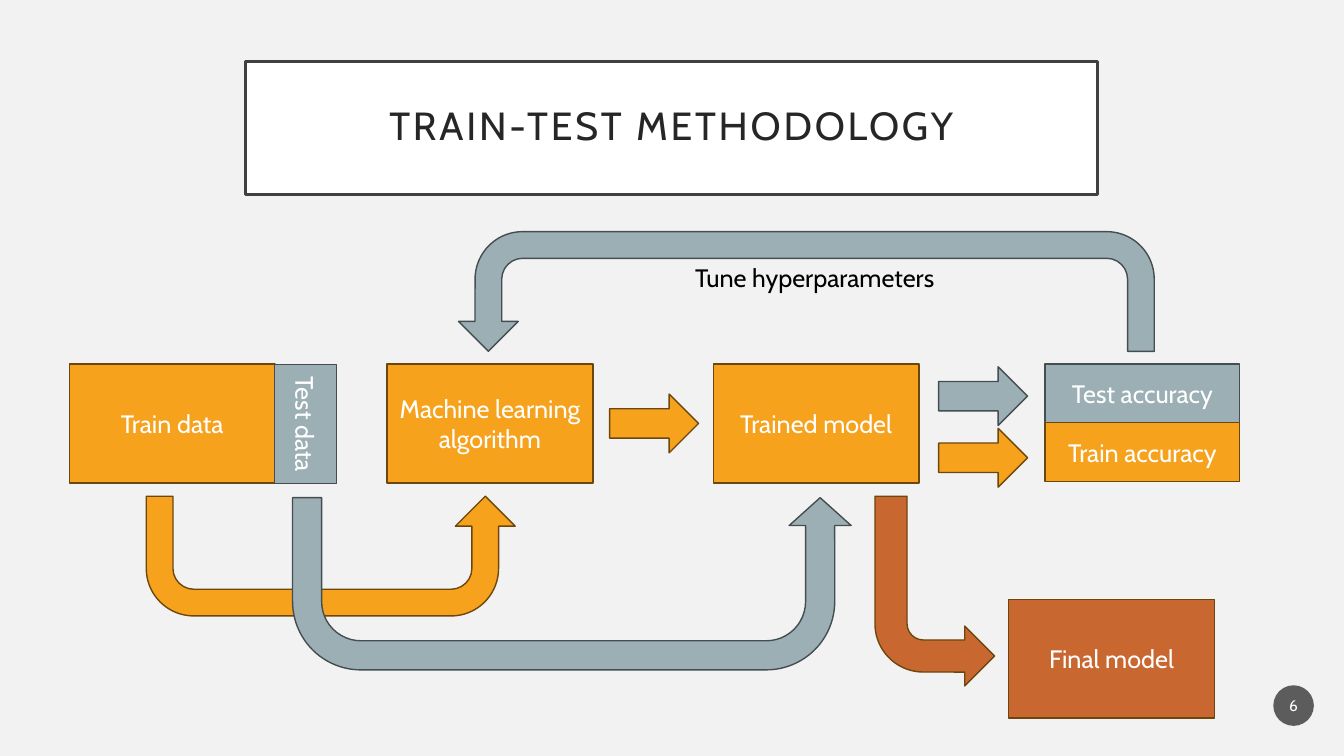
"""Build the train-test methodology slide."""
from dataclasses import dataclass

import pptx
import pptx.dml.color
import pptx.enum.shapes
import pptx.enum.text
import pptx.oxml
import pptx.oxml.ns
import pptx.util

Pt = pptx.util.Pt
MSO = pptx.enum.shapes.MSO_SHAPE
FONT = "Cabin"
ORANGE, GREY, RUST = "F6A21D", "9BAFB5", "C96731"
OUTLINES = {ORANGE: "6C470D", GREY: "444D4F", RUST: "6C470D"}
ROW_TOP, BOX_W, BOX_H = 260, 147, 85
HALF_W, HALF_H = 139, 42
ARROW_W, ARROW_H = 63.5, 42
UTURN = (0.223, 0.25, 0.25, 0.397, 1)


@dataclass
class Box:
    text: str
    x: float
    y: float
    w: float
    h: float
    color: str
    rotation: float = 0


@dataclass
class Arrow:
    kind: MSO
    x: float
    y: float
    w: float
    h: float
    color: str
    adjustments: tuple[float, ...] = ()
    flip: str = ""


BOXES = [
    Box("Train data", 49.5, ROW_TOP, BOX_W, BOX_H, ORANGE),
    Box("Test data", 175.75, 281, BOX_H, 44, GREY, 90),
    Box("Machine learning algorithm", 276.5, ROW_TOP, BOX_W, BOX_H, ORANGE),
    Box("Trained model", 509.5, ROW_TOP, BOX_W, BOX_H, ORANGE),
    Box("Test accuracy", 746.5, ROW_TOP, HALF_W, HALF_H, GREY),
    Box("Train accuracy", 746.5, ROW_TOP + HALF_H, HALF_W, HALF_H, ORANGE),
    Box("Final model", 720.5, 428, BOX_W, BOX_H, RUST),
]
ARROWS = [
    Arrow(MSO.U_TURN_ARROW, 104.5, 354.5, 263.5, 85.5, ORANGE, UTURN, "flipV"),
    Arrow(MSO.RIGHT_ARROW, 435.5, 281.5, ARROW_W, ARROW_H, ORANGE),
    Arrow(MSO.U_TURN_ARROW, 327.5, 165.5, 497, 85.5, GREY, UTURN, "flipH"),
    Arrow(MSO.RIGHT_ARROW, 670.5, 262, ARROW_W, ARROW_H, GREY),
    Arrow(MSO.U_TURN_ARROW, 209, 355.5, 399, 123, GREY,
          (0.169, 0.18, 0.162, 0.397, 1), "flipV"),
    Arrow(MSO.RIGHT_ARROW, 670.5, 306, ARROW_W, ARROW_H, ORANGE),
    Arrow(MSO.BENT_ARROW, 625, 354.5, 85.5, 135.5, RUST,
          (0.268, 0.25, 0.25, 0.404), "flipV"),
]


def rgb(color: str) -> pptx.dml.color.RGBColor:
    return pptx.dml.color.RGBColor.from_string(color)


def add_shape(s, kind: MSO, x: float, y: float, w: float, h: float,
              fill: str, line: str = "", width: float = 1):
    sp = s.shapes.add_shape(kind, Pt(x), Pt(y), Pt(w), Pt(h))
    sp.shadow.inherit = False
    sp.fill.solid()
    sp.fill.fore_color.rgb = rgb(fill)
    if line:
        sp.line.color.rgb = rgb(line)
        sp.line.width = Pt(width)
    else:
        sp.line.fill.background()
    return sp


def set_text(sp, text: str, size: float = 18, color: str = "FFFFFF"):
    tf = sp.text_frame
    tf.word_wrap = True
    tf.vertical_anchor = pptx.enum.text.MSO_ANCHOR.MIDDLE
    p = tf.paragraphs[0]
    p.alignment = pptx.enum.text.PP_ALIGN.CENTER
    p.font.name = FONT
    p.font.size = Pt(size)
    p.font.color.rgb = rgb(color)
    p.add_run().text = text
    return p


def add_box(s, box: Box) -> None:
    sp = add_shape(s, MSO.RECTANGLE, box.x, box.y, box.w, box.h,
                   box.color, OUTLINES[box.color])
    sp.rotation = box.rotation
    set_text(sp, box.text)


def add_arrow(s, arrow: Arrow) -> None:
    sp = add_shape(s, arrow.kind, arrow.x, arrow.y, arrow.w, arrow.h,
                   arrow.color, OUTLINES[arrow.color])
    for i, value in enumerate(arrow.adjustments):
        sp.adjustments[i] = value
    if arrow.flip:
        sp._element.spPr.xfrm.set(arrow.flip, "1")


def add_title(s) -> None:
    sp = add_shape(s, MSO.RECTANGLE, 175.5, 44, 608.5, 95, "FFFFFF", "404040", 2.5)
    p = set_text(sp, "TRAIN-TEST METHODOLOGY", 28, "262626")
    p.line_spacing = 0.9
    p.runs[0]._r.get_or_add_rPr().set("spc", "200")


def add_page_number(s) -> None:
    sp = add_shape(s, MSO.OVAL, 909.5, 489.5, 29, 29, "1D1D1D")
    clr = sp._element.spPr.find(".//" + pptx.oxml.ns.qn("a:srgbClr"))
    clr.append(pptx.oxml.parse_xml(
        f'<a:alpha {pptx.oxml.ns.nsdecls("a")} val="70000"/>'))
    set_text(sp, "6", 11)
    sp.text_frame.margin_left = sp.text_frame.margin_right = Pt(1.5)


def main() -> None:
    prs = pptx.Presentation()
    prs.slide_width, prs.slide_height = Pt(960), Pt(540)
    s = prs.slides.add_slide(prs.slide_layouts[6])
    s.background.fill.solid()
    s.background.fill.fore_color.rgb = rgb("F2F2F2")
    add_title(s)
    add_page_number(s)
    for box in BOXES:
        add_box(s, box)
    for arrow in ARROWS:
        add_arrow(s, arrow)
    label = s.shapes.add_textbox(Pt(482), Pt(183), Pt(200), Pt(30))
    set_text(label, "Tune hyperparameters", color="000000")
    prs.save("out.pptx")


if __name__ == "__main__":
    main()
